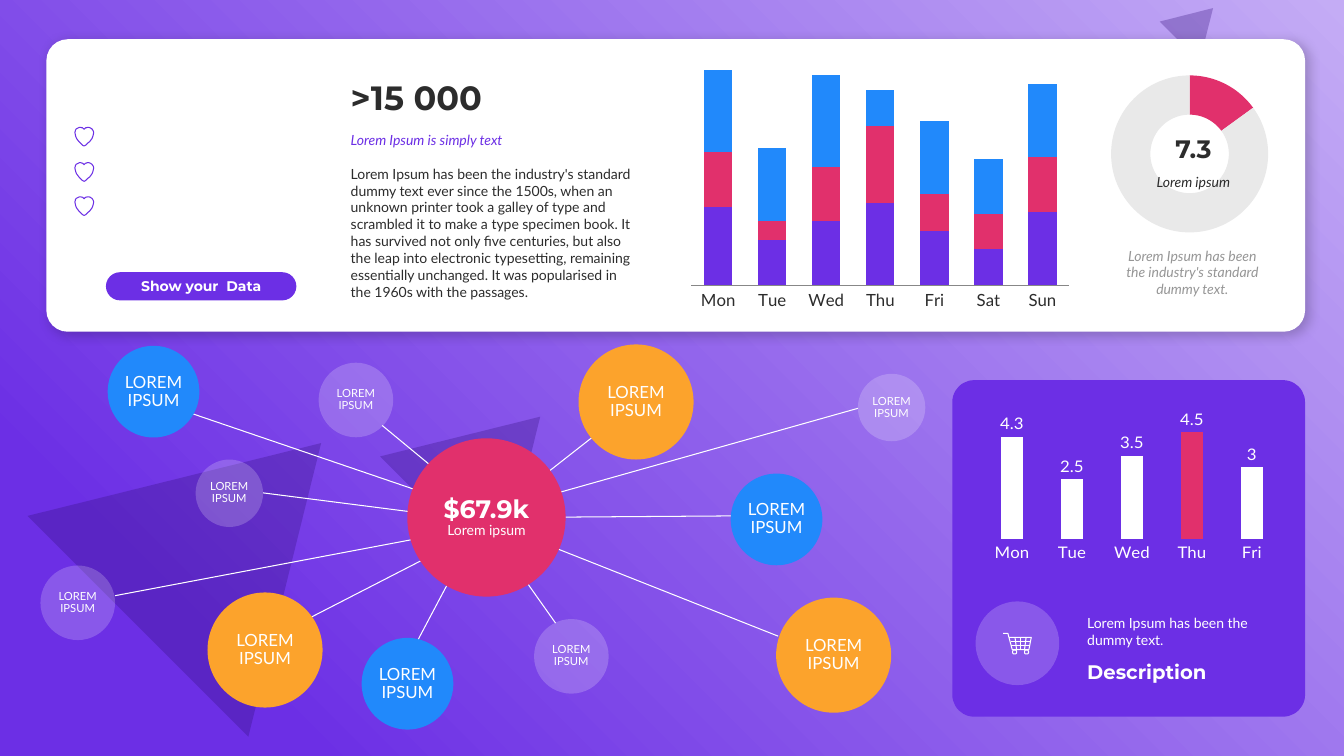
from math import cos, pi, sin

from lxml.etree import SubElement
from pptx import Presentation
from pptx.chart.data import CategoryChartData
from pptx.dml.color import RGBColor
from pptx.enum.chart import XL_CHART_TYPE as ChartType, XL_LABEL_POSITION as LabelPosition
from pptx.enum.chart import XL_TICK_MARK as TickMark
from pptx.enum.shapes import MSO_CONNECTOR, MSO_SHAPE as Preset
from pptx.enum.text import MSO_ANCHOR as Anchor, PP_ALIGN as Align
from pptx.oxml.ns import qn
from pptx.util import Cm, Pt

COLORS = {"lilac": "C4ACF5", "purple": "6C2FE5", "shade": "330F7B", "white": "FFFFFF",
          "ink": "2C2C2C", "gray": "969696", "ring": "E9E9E9", "axis": "878787",
          "pink": "E1306C", "blue": "2189FB", "orange": "FCA32C", "black": "000000"}
WIDTH, HEIGHT = 33.87, 19.05
TRIANGLES = [(1.85, 10.21, 7.87, 6.53), (10.21, 9.98, 4.29, 3.56), (29.44, 0.03, 1.42, 1.19)]

# box, text, size, font, color, then paragraph and font options
TEXTS = [
    ((8.59, 3.2, 7.67, 0.69), "Lorem Ipsum\u00a0is simply text", 10, "Lato", "purple", {"italic": True}),
    ((8.59, 1.8, 7.67, 1.27), ">15 000", 24, "Montserrat", "ink", {"bold": True, "anchor": Anchor.BOTTOM}),
    ((8.59, 4.04, 7.67, 3.68),
     "Lorem Ipsum has been the industry's standard dummy text ever since the 1500s, when an unknown "
     "printer took a galley of type and scrambled it to make a type specimen book. It has survived not "
     "only five centuries, but also the leap into electronic typesetting, remaining essentially "
     "unchanged. It was popularised in the 1960s with the passages.", 10, "Lato", "ink", {}),
    ((28.68, 4.24, 2.79, 0.69), "Lorem ipsum", 10, "Lato", "ink", {"italic": True, "align": Align.CENTER}),
    ((28.68, 3.23, 2.79, 1.02), "7.3", 18, "Montserrat", "ink",
     {"bold": True, "align": Align.CENTER, "anchor": Anchor.BOTTOM}),
    ((28.02, 6.1, 4.06, 1.55), "Lorem Ipsum has been the industry's standard dummy text.",
     10, "Lato", "gray", {"italic": True, "align": Align.CENTER}),
    ((27.15, 15.37, 5.66, 1.12), "Lorem Ipsum has been the dummy text.", 10, "Lato", "white", {}),
    ((27.15, 16.48, 5.66, 0.86), "Description", 14, "Montserrat", "white",
     {"bold": True, "anchor": Anchor.BOTTOM}),
]

HUB = (12.26, 13.04, 3.99)
# center x, center y, diameter, color, spoke start, spoke end
NODES = [
    (16.03, 10.13, 2.9, "orange", (13.56, 12.09), (14.99, 10.97)),
    (8.97, 10.08, 1.88, "white", (11.07, 11.91), (9.63, 10.72)),
    (3.87, 9.87, 2.31, "blue", (10.85, 12.47), (4.45, 10.29)),
    (5.78, 12.43, 1.7, "white", (10.62, 12.93), (6.63, 12.42)),
    (1.96, 15.19, 1.88, "white", (10.69, 13.54), (2.9, 15.01)),
    (10.27, 17.23, 2.31, "blue", (11.43, 14.43), (10.52, 16.15)),
    (6.68, 16.38, 2.9, "orange", (10.92, 13.97), (7.65, 15.65)),
    (21.01, 16.51, 2.9, "orange", (13.77, 13.72), (19.61, 16.03)),
    (22.47, 10.27, 1.7, "white", (13.77, 12.5), (21.62, 10.29)),
    (19.57, 13.09, 2.31, "blue", (14.25, 13.03), (18.44, 13.0)),
    (14.4, 16.54, 1.88, "white", (13.08, 14.4), (14.0, 15.7)),
]

DAYS = ["Mon", "Tue", "Wed", "Thu", "Fri", "Sat", "Sun"]
WEEK = [("Series 1", [86, 50, 70, 90, 60, 40, 80], "purple"),
        ("Series 2", [60, 20, 60, 84, 40, 38, 60], "pink"),
        ("Series 3", [90, 80, 100, 40, 80, 60, 80], "blue")]
SHARE = [("Series 1", [15, 85], "pink")]
WORKDAYS = [("Series 1", [4.3, 2.5, 3.5, 4.5, 3], "white")]

# icon outlines in hundredths of a centimeter
HEART_CURVES = [[(48, 15), (48, 7), (42, 1), (34, 1)], [(34, 1), (30, 1), (26, 3), (24, 6)],
                [(24, 6), (22, 3), (18, 1), (14, 1)], [(14, 1), (6, 1), (1, 7), (1, 15)],
                [(1, 15), (1, 30), (20, 47), (24, 48)], [(24, 48), (28, 47), (48, 30), (48, 15)]]
HEART_TOPS = [3.2, 4.09, 4.95]
CART_LINES = [[(1, 1), (13, 1), (24, 42), (66, 42), (72, 11), (17, 11)],
              [(20, 22), (70, 22)], [(22, 32), (68, 32)],
              [(31, 11), (35, 42)], [(45, 11), (45, 42)], [(59, 11), (55, 42)]]
CART_WHEELS = [(30, 48), (60, 48)]


def rgb(name):
    return RGBColor.from_string(COLORS[name])


def add_filled(preset, box, color, alpha=100, radius=None):
    shape = slide.shapes.add_shape(preset, *map(Cm, box))
    shape.shadow.inherit = False
    shape.line.fill.background()
    shape.fill.solid()
    shape.fill.fore_color.rgb = rgb(color)
    if alpha < 100:
        color_element = next(shape._element.spPr.iter(qn("a:srgbClr")))
        SubElement(color_element, qn("a:alpha"), val=str(alpha * 1000))
    if radius is not None:
        shape.adjustments[0] = radius
    return shape


def style(paragraph, text, size, font, color, bold=False, italic=False, align=Align.LEFT):
    paragraph.text = text
    paragraph.alignment = align
    paragraph.font.size = Pt(size)
    paragraph.font.name = font
    paragraph.font.bold = bold
    paragraph.font.italic = italic
    paragraph.font.color.rgb = rgb(color)


def add_text(box, text, size, font, color, options):
    frame = slide.shapes.add_textbox(*map(Cm, box)).text_frame
    frame.word_wrap = True
    frame.vertical_anchor = options.get("anchor", Anchor.TOP)
    style(frame.paragraphs[0], text, size, font, color,
          **{key: value for key, value in options.items() if key != "anchor"})


def add_circle(x, y, diameter, color, lines):
    """Add a circle around (x, y) with centered white lines of (text, size, font, bold)."""
    box = (x - diameter / 2, y - diameter / 2, diameter, diameter)
    circle = add_filled(Preset.OVAL, box, color, 20 if color == "white" else 100)
    frame = circle.text_frame
    frame.margin_left = frame.margin_right = 0
    for index, (text, size, font, bold) in enumerate(lines):
        paragraph = frame.add_paragraph() if index else frame.paragraphs[0]
        style(paragraph, text, size, font, "white", bold=bold, align=Align.CENTER)
        paragraph.line_spacing = 0.89


def add_icon(contours, left, top, color):
    builder = slide.shapes.build_freeform(*contours[0][0], scale=Cm(0.01))
    for index, contour in enumerate(contours):
        if index:
            builder.move_to(*contour[0])
        builder.add_line_segments(contour[1:], close=False)
    icon = builder.convert_to_shape(Cm(left), Cm(top))
    icon.shadow.inherit = False
    icon.fill.background()
    icon.line.color.rgb = rgb(color)
    icon.line.width = Pt(0.75)


def bezier(points, steps=10):
    weights = (1, 3, 3, 1)
    return [tuple(sum(w * (1 - t) ** (3 - i) * t ** i * point[axis]
                      for i, (w, point) in enumerate(zip(weights, points))) for axis in (0, 1))
            for t in (step / steps for step in range(steps + 1))]


def add_chart(kind, box, categories, series, size, color):
    data = CategoryChartData()
    data.categories = categories
    for name, values, _ in series:
        data.add_series(name, values)
    chart = slide.shapes.add_chart(kind, *map(Cm, box), data).chart
    chart.has_legend = chart.has_title = False
    chart.font.size, chart.font.name = Pt(size), "Lato"
    chart.font.color.rgb = rgb(color)
    plot = chart.plots[0]
    plot.vary_by_categories = False
    for drawn, (_, _, fill_color) in zip(plot.series, series):
        drawn.format.fill.solid()
        drawn.format.fill.fore_color.rgb = rgb(fill_color)
    return chart, plot


def color_point(plot, index, color):
    fill = plot.series[0].points[index].format.fill
    fill.solid()
    fill.fore_color.rgb = rgb(color)


def add_columns(kind, box, categories, series, color, gap):
    chart, plot = add_chart(kind, box, categories, series, 12, color)
    plot.gap_width = gap
    chart.value_axis.visible = chart.value_axis.has_major_gridlines = False
    chart.value_axis.minimum_scale = 0
    chart.category_axis.major_tick_mark = TickMark.NONE
    return plot, chart.category_axis.format.line


presentation = Presentation()
presentation.slide_width, presentation.slide_height = Cm(WIDTH), Cm(HEIGHT)
slide = presentation.slides.add_slide(presentation.slide_layouts[6])

# Backdrop: radial gradient centered on the top right corner
backdrop = add_filled(Preset.RECTANGLE, (0, 0, WIDTH, HEIGHT), "purple")
backdrop.fill.gradient()
for stop, color, position in zip(backdrop.fill.gradient_stops, ("lilac", "purple"), (0, 0.85)):
    stop.color.rgb, stop.position = rgb(color), position
gradient = backdrop._element.spPr.find(qn("a:gradFill"))
gradient.remove(gradient.find(qn("a:lin")))
SubElement(SubElement(gradient, qn("a:path"), path="circle"), qn("a:fillToRect"), l="100000", b="100000")
for box in TRIANGLES:
    add_filled(Preset.ISOSCELES_TRIANGLE, box, "shade", 30).rotation = 45

# Top card
card = add_filled(Preset.ROUNDED_RECTANGLE, (1.17, 0.99, 31.72, 7.37), "white", radius=0.073)
shadow = SubElement(card._element.spPr.find(qn("a:effectLst")), qn("a:outerShdw"),
                    blurRad=str(Pt(8)), dist=str(Pt(3)), dir="2700000", algn="tl", rotWithShape="0")
SubElement(SubElement(shadow, qn("a:srgbClr"), val=COLORS["black"]), qn("a:alpha"), val="20000")
for top in HEART_TOPS:
    add_icon([sum(map(bezier, HEART_CURVES), [])], 1.88, top, "purple")
button = add_filled(Preset.ROUNDED_RECTANGLE, (2.67, 6.86, 4.8, 0.71), "purple", radius=0.5)
style(button.text_frame.paragraphs[0], "Show your  Data", 10, "Montserrat", "white",
      bold=True, align=Align.CENTER)

plot, axis_line = add_columns(ChartType.COLUMN_STACKED, (17.22, 1.3, 9.93, 6.63), DAYS, WEEK, "ink", 90)
plot.overlap = 100
axis_line.color.rgb, axis_line.width = rgb("axis"), Pt(0.75)

ring, plot = add_chart(ChartType.DOUGHNUT, (27.84, 1.9, 4.37, 3.96), ["1", "2"], SHARE, 10, "ink")
plot.has_data_labels = False
color_point(plot, 0, "pink")
color_point(plot, 1, "ring")
plot_area = next(ring._chartSpace.iter(qn("c:plotArea")))
for old_layout in plot_area.findall(qn("c:layout")):
    plot_area.remove(old_layout)
layout = SubElement(plot_area, qn("c:layout"))
plot_area.insert(0, layout)
manual = SubElement(layout, qn("c:manualLayout"))
for tag, value in [("layoutTarget", "inner"), ("xMode", "edge"), ("yMode", "edge"),
                   ("x", "0.03"), ("y", "0"), ("w", "0.92"), ("h", "1")]:
    SubElement(manual, qn("c:" + tag), val=value)

# Network: spokes first, circles above them
for *_, start, end in NODES:
    spoke = slide.shapes.add_connector(MSO_CONNECTOR.STRAIGHT, *map(Cm, start + end))
    spoke.line.color.rgb, spoke.line.width = rgb("white"), Pt(0.75)
    SubElement(spoke._element.spPr, qn("a:effectLst"))
for x, y, diameter, color, *_ in NODES:
    add_circle(x, y, diameter, color, [("LOREM IPSUM", 8 if color == "white" else 12, "Lato", False)])
add_circle(*HUB, "pink", [("$67.9k", 18, "Montserrat", True), ("Lorem ipsum", 10, "Lato", False)])

# Bottom right panel
add_filled(Preset.ROUNDED_RECTANGLE, (24, 9.58, 8.89, 8.48), "purple", radius=0.065)
add_circle(25.64, 16.21, 2.11, "white", [])
wheels = [[(x + 5 * cos(step * pi / 8), y + 5 * sin(step * pi / 8)) for step in range(17)]
          for x, y in CART_WHEELS]
add_icon(CART_LINES + wheels, 25.27, 15.95, "white")
plot, axis_line = add_columns(ChartType.COLUMN_CLUSTERED, (24.59, 10.31, 7.87, 3.91),
                              DAYS[:5], WORKDAYS, "white", 171)
axis_line.fill.background()
color_point(plot, 3, "pink")
plot.has_data_labels = True
plot.data_labels.show_value = True
plot.data_labels.position = LabelPosition.OUTSIDE_END

for entry in TEXTS:
    add_text(*entry)

presentation.save("out.pptx")
